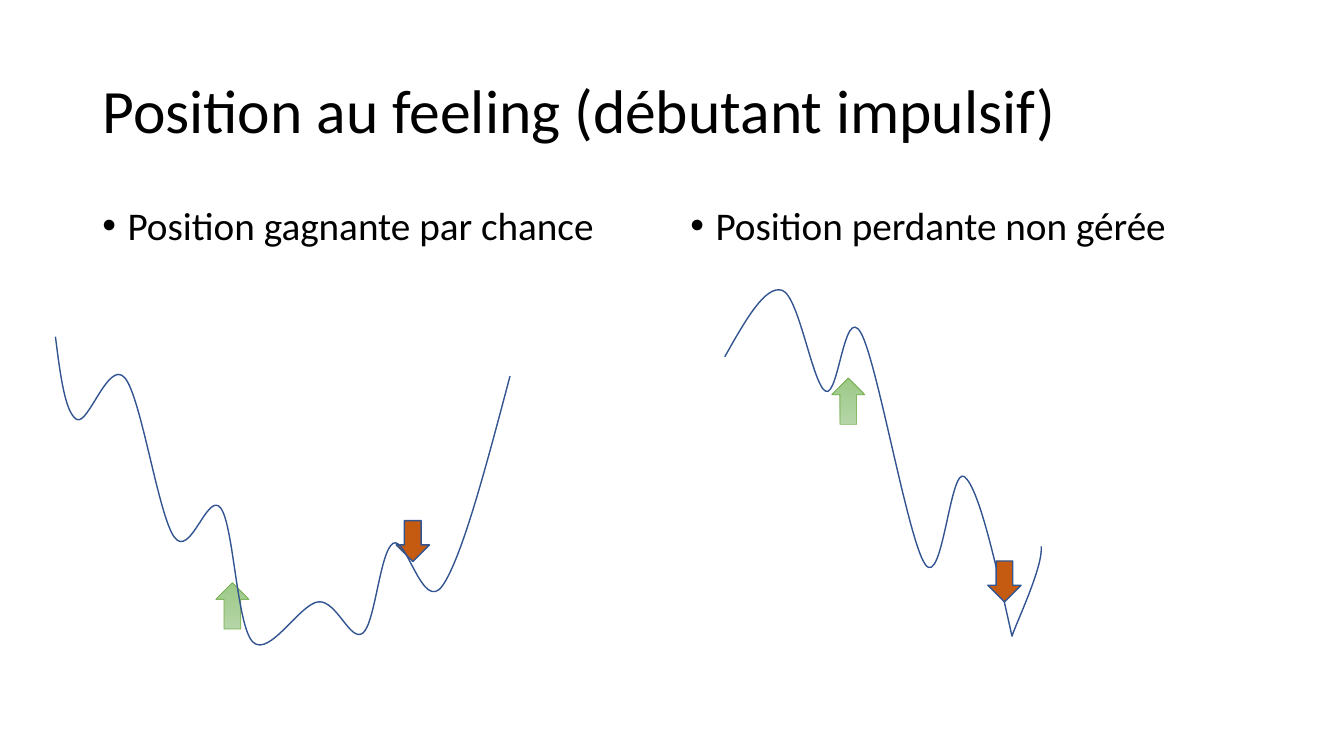
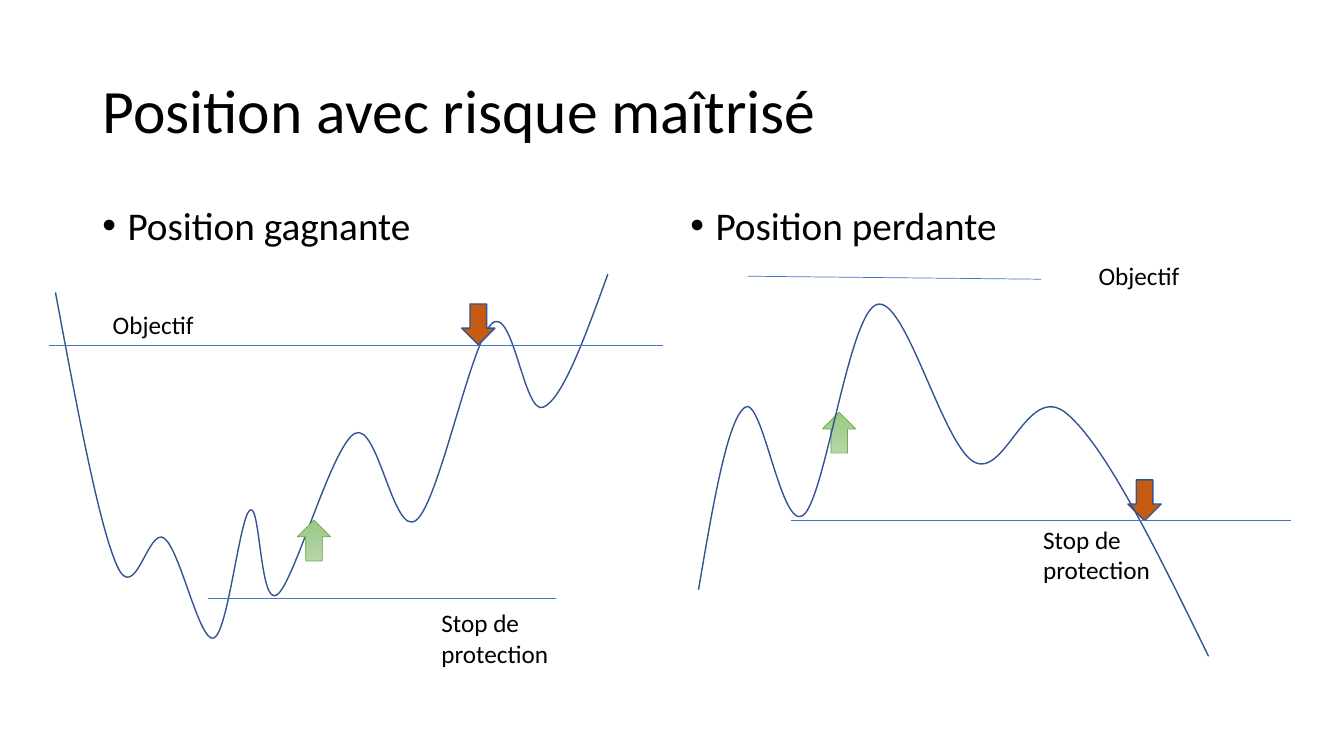
from dataclasses import dataclass

from lxml.etree import SubElement
from pptx import Presentation
from pptx.dml.color import RGBColor as RGB
from pptx.enum.shapes import MSO_CONNECTOR as CONN, MSO_SHAPE as SHAPE
from pptx.enum.text import MSO_ANCHOR as ANCHOR
from pptx.oxml.ns import qn
from pptx.util import Inches, Pt


@dataclass(frozen=True)
class Theme:
    font: str = "Calibri"
    text: str = "000000"
    curve: str = "325491"
    level: str = "4472C4"
    sell: str = "C55A11"
    buy_line: str = "70AD47"
    buy_light: str = "B5D5A7"
    buy_dark: str = "9CC987"
    title_pt: int = 44
    body_pt: int = 28
    label_pt: int = 18
    thick_pt: float = 1
    thin_pt: float = 0.5


T = Theme()


@dataclass(frozen=True)
class Box:
    """Area divided into 100 columns and 100 rows."""
    left: float
    top: float
    width: float
    height: float

    def point(self, col, row):
        return (round(self.left + self.width * col / 100),
                round(self.top + self.height * row / 100))

    def sub(self, col, row, cols, rows):
        return Box(*self.point(col, row), round(self.width * cols / 100),
                   round(self.height * rows / 100))

    @property
    def frame(self):
        return self.left, self.top, self.width, self.height


SLIDE = Box(0, 0, Inches(13.333), Inches(7.5))
TITLE = SLIDE.sub(6.88, 5.33, 86.25, 19.33)
HEADINGS = [SLIDE.sub(6.88 + i * 43.75, 26.67, 42.5, 63.47) for i in range(2)]
PANELS = [SLIDE.sub(i * 50, 26.67, 50, 66.67) for i in range(2)]

# Sizes in panel columns and rows
ARROW_COLS = 4.95
SHORT, TALL = 8.1, 9.2
OBJECTIVE = (16.8, ["Objectif"])
STOP = (19.2, ["Stop de", "protection"])


def outline(shape, color, width):
    shape.line.color.rgb = RGB.from_string(color)
    shape.line.width = Pt(width)


def add_text(s, box, lines, size, anchor=ANCHOR.TOP, spacing=None, bullet=False):
    tf = s.shapes.add_textbox(*box.frame).text_frame
    tf.word_wrap = True
    tf.vertical_anchor = anchor
    for i, line in enumerate(lines):
        p = tf.add_paragraph() if i else tf.paragraphs[0]
        if spacing:
            p.line_spacing = spacing
        if bullet:
            p.space_before = Pt(10)
            pPr = p._p.get_or_add_pPr()
            pPr.set("marL", str(Inches(0.25)))
            pPr.set("indent", str(-Inches(0.25)))
            SubElement(pPr, qn("a:buFont")).set("typeface", "Arial")
            SubElement(pPr, qn("a:buChar")).set("char", "•")
        r = p.add_run()
        r.text = line
        r.font.name, r.font.size = T.font, Pt(size)
        r.font.color.rgb = RGB.from_string(T.text)


def midpoint(a, b):
    return (a[0] + b[0]) / 2, (a[1] + b[1]) / 2


def smooth(knots):
    """Cubic segments (handle, handle, end) of a curve through the knots."""
    arriving, leaving = [], []
    for before, knot, after in zip(knots, knots[1:], knots[2:]):
        dx, dy = (after[0] - before[0]) / 6, (after[1] - before[1]) / 6
        arriving.append((knot[0] - dx, knot[1] - dy))
        leaving.append((knot[0] + dx, knot[1] + dy))
    # End handles lie halfway to the neighbouring handle
    leaving.insert(0, midpoint(knots[0], arriving[0]))
    arriving.append(midpoint(knots[-1], leaving[-1]))
    return list(zip(leaving, arriving, knots[1:]))


def add_curve(s, box, knots, tail=()):
    """Price line through the knots, then any extra cubic segments."""
    segments = smooth(knots) + list(tail)
    path = s.shapes.build_freeform(*box.point(*knots[0]))
    path.add_line_segments([box.point(*end) for _, _, end in segments], close=False)
    sp = path.convert_to_shape()
    sp.shadow.inherit = False
    sp.fill.background()
    outline(sp, T.curve, T.thick_pt)
    # Bend each straight segment with its two handles
    for step, handles in zip(list(sp._element.iter(qn("a:lnTo"))), segments):
        step.tag = qn("a:cubicBezTo")
        for i, handle in enumerate(handles[:2]):
            x, y = box.point(*handle)
            pt = SubElement(step, qn("a:pt"))
            pt.set("x", str(x - sp.left))
            pt.set("y", str(y - sp.top))
            step.insert(i, pt)


def add_arrow(s, box, col, row, rows):
    area = box.sub(col - ARROW_COLS / 2, row, ARROW_COLS, rows)
    sp = s.shapes.add_shape(SHAPE.DOWN_ARROW, *area.frame)
    sp.shadow.inherit = False
    return sp


def add_buy(s, box, col, row, rows=SHORT):
    """Up arrow with its tip at the given place."""
    sp = add_arrow(s, box, col, row, rows)
    sp.rotation = 180
    sp.fill.gradient()
    sp.fill.gradient_angle = 270
    for stop, color in zip(sp.fill.gradient_stops, (T.buy_light, T.buy_dark)):
        stop.color.rgb = RGB.from_string(color)
    outline(sp, T.buy_line, T.thin_pt)


def add_sell(s, box, col, row):
    """Down arrow with its tip at the given place."""
    sp = add_arrow(s, box, col, row - SHORT, SHORT)
    sp.fill.solid()
    sp.fill.fore_color.rgb = RGB.from_string(T.sell)
    outline(sp, T.curve, T.thick_pt)


def add_level(s, box, start, end):
    line = s.shapes.add_connector(CONN.STRAIGHT, *box.point(*start), *box.point(*end))
    outline(line, T.level, T.thin_pt)
    SubElement(line._element.spPr, qn("a:effectLst"))


def add_label(s, box, col, row, label):
    cols, lines = label
    add_text(s, box.sub(col, row, cols, 1.8 + 6.2 * len(lines)), lines, T.label_pt)


def add_slide(prs, title, headings, panels):
    s = prs.slides.add_slide(prs.slide_layouts[6])
    add_text(s, TITLE, [title], T.title_pt, ANCHOR.MIDDLE, 0.9)
    for box, heading in zip(HEADINGS, headings):
        add_text(s, box, [heading], T.body_pt, spacing=0.9, bullet=True)
    for box, draw in zip(PANELS, panels):
        draw(s, box)


# Impulsive trading
def lucky_win(s, box):
    add_sell(s, box, 61.43, 71.4)
    add_buy(s, box, 34.58, 75.6, TALL)
    add_curve(s, box, [
        (8.25, 26.8), (11.4, 43.2), (18.6, 35), (25.95, 66.6), (32.85, 60.8),
        (37.65, 87.4), (47.4, 79.4), (54, 85.6), (58.5, 67.8), (65.85, 76.2),
        (75.9, 34.6)])


def unmanaged_loss(s, box):
    rebound = ((51.35, 83.2), (55.25, 72.4), (54.95, 68.4))
    add_curve(s, box, [
        (7.85, 30.8), (16.4, 17.6), (22.85, 37.6), (28.1, 26), (37.7, 72),
        (43.55, 54.6), (50.6, 86.2)], [rebound])
    add_buy(s, box, 26.23, 35, TALL)
    add_sell(s, box, 49.48, 79.4)


# Trading with controlled risk
def managed_win(s, box):
    add_curve(s, box, [
        (8.25, 18), (17.4, 72.2), (24.45, 66.8), (31.8, 86.6), (37.2, 61.2),
        (41.25, 78), (52.8, 46), (61.95, 63.2), (73.2, 24.2), (80.85, 40.8),
        (90.45, 14.4)])
    add_sell(s, box, 71.18, 28.4)
    add_buy(s, box, 46.73, 63.2)
    add_level(s, box, (30.9, 78.8), (82.8, 78.8))
    add_level(s, box, (7.35, 28.5), (98.7, 28.5))
    add_label(s, box, 64.2, 79.6, STOP)
    add_label(s, box, 15.3, 20.4, OBJECTIVE)


def managed_loss(s, box):
    add_sell(s, box, 70.33, 63.3)
    add_buy(s, box, 24.88, 41.8)
    add_curve(s, box, [
        (3.95, 77), (10.85, 40.8), (19.55, 62.2), (30.5, 20.4), (44.9, 51.6),
        (58.7, 42), (79.85, 90.2)])
    add_level(s, box, (17.75, 63.3), (92.15, 63.3))
    add_label(s, box, 53.75, 63, STOP)
    add_label(s, box, 62, 10.6, OBJECTIVE)
    add_level(s, box, (11.3, 14.8), (54.95, 15.4))


def main():
    prs = Presentation()
    prs.slide_width, prs.slide_height = SLIDE.width, SLIDE.height
    add_slide(prs, "Position au feeling (débutant impulsif)",
              ["Position gagnante par chance", "Position perdante non gérée"],
              [lucky_win, unmanaged_loss])
    add_slide(prs, "Position avec risque maîtrisé",
              ["Position gagnante", "Position perdante"],
              [managed_win, managed_loss])
    prs.save("out.pptx")


if __name__ == "__main__":
    main()
